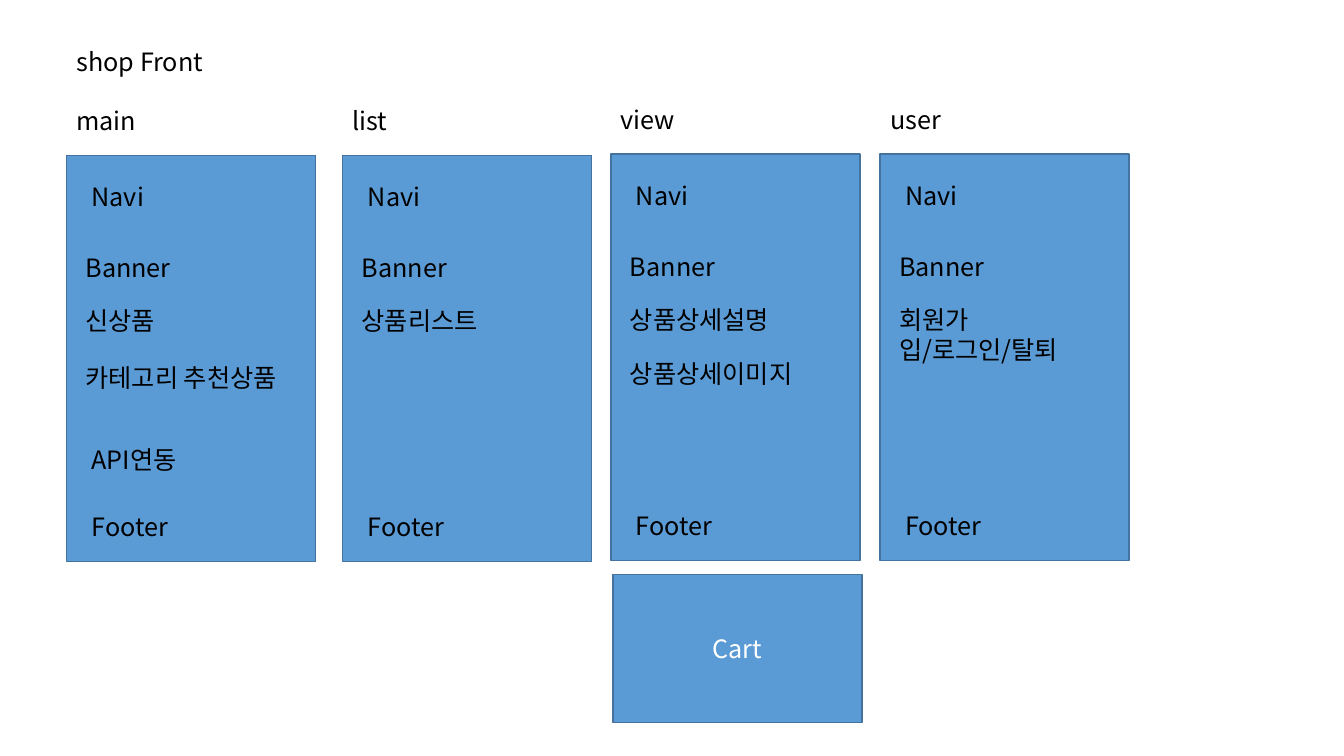
"""Build the shop front page layout slide."""
from lxml import etree
from pptx import Presentation
from pptx.dml.color import RGBColor
from pptx.enum.shapes import MSO_SHAPE
from pptx.enum.text import MSO_ANCHOR, MSO_AUTO_SIZE, PP_ALIGN
from pptx.oxml.ns import qn
from pptx.util import Inches, Pt

RECT = MSO_SHAPE.RECTANGLE
MIDDLE = MSO_ANCHOR.MIDDLE
GROW = MSO_AUTO_SIZE.SHAPE_TO_FIT_TEXT
LEFT, CENTER = PP_ALIGN.LEFT, PP_ALIGN.CENTER

FONT = "Noto Sans CJK KR"
BLACK, WHITE, BLUE, DARK_BLUE = "000000", "FFFFFF", "5B9BD5", "43739E"
PANEL_W, PANEL_H, LINE_H = 2.47, 4.03, 0.4
WIDE_INDENT, INDENT = 0.15, 0.09

PAGES = [
    ("main", 0.66, 1.54, 3.31,
     [("신상품", INDENT, 1.44, 2.34, LINE_H),
      ("카테고리 추천상품", INDENT, 2.01, 2.34, LINE_H),
      ("API연동", WIDE_INDENT, 2.82, 1.81, LINE_H)]),
    ("list", 3.4, 1.54, 2.4,
     [("상품리스트", INDENT, 1.44, 2.34, LINE_H)]),
    ("view", 6.06, 1.53, 2.4,
     [("상품상세설명", INDENT, 1.44, 2.34, LINE_H),
      ("상품상세이미지", INDENT, 1.98, 2.34, LINE_H)]),
    ("user", 8.73, 1.53, 2.4,
     [("회원가입/로그인/탈퇴", INDENT, 1.44, 2.34, 0.71)]),
]
COMMON = [("Navi", WIDE_INDENT, 0.21, 2.34, LINE_H),
          ("Banner", INDENT, 0.91, 2.34, LINE_H),
          ("Footer", WIDE_INDENT, 3.48, 2.1, LINE_H)]


def rgb(color):
    return RGBColor.from_string(color)


def write(tf, text, color=BLACK, align=LEFT):
    tf.word_wrap = True
    p = tf.paragraphs[0]
    p.text, p.alignment = text, align
    p.font.size = Pt(18)
    p.font.color.rgb = rgb(color)
    p.font.name = FONT
    props = p._p.pPr.find(qn("a:defRPr"))
    etree.SubElement(props, qn("a:ea")).set("typeface", FONT)


def add_label(s, text, x, y, w, h=LINE_H):
    sp = s.shapes.add_textbox(Inches(x), Inches(y), Inches(w), Inches(h))
    write(sp.text_frame, text)
    sp.text_frame.auto_size = GROW


def add_panel(s, x, y, h):
    sp = s.shapes.add_shape(RECT, Inches(x), Inches(y), Inches(PANEL_W), Inches(h))
    sp.shadow.inherit = False
    sp.fill.solid()
    sp.fill.fore_color.rgb = rgb(BLUE)
    sp.line.color.rgb = rgb(DARK_BLUE)
    sp.line.width = Pt(1)
    return sp


def add_page(s, name, x, y, name_w, sections):
    add_panel(s, x, y, PANEL_H)
    add_label(s, name, x, y - 0.54, name_w)
    for text, dx, dy, w, h in COMMON + sections:
        add_label(s, text, x + dx, y + dy, w, h)


def main():
    prs = Presentation()
    prs.slide_width, prs.slide_height = Inches(13.33), Inches(7.5)
    s = prs.slides.add_slide(prs.slide_layouts[6])
    add_label(s, "shop Front", 0.66, 0.41, 3.52)
    for page in PAGES:
        add_page(s, *page)
    cart = add_panel(s, 6.08, 5.7, 1.47)
    cart.text_frame.vertical_anchor = MIDDLE
    write(cart.text_frame, "Cart", WHITE, CENTER)
    prs.save("out.pptx")


main()
